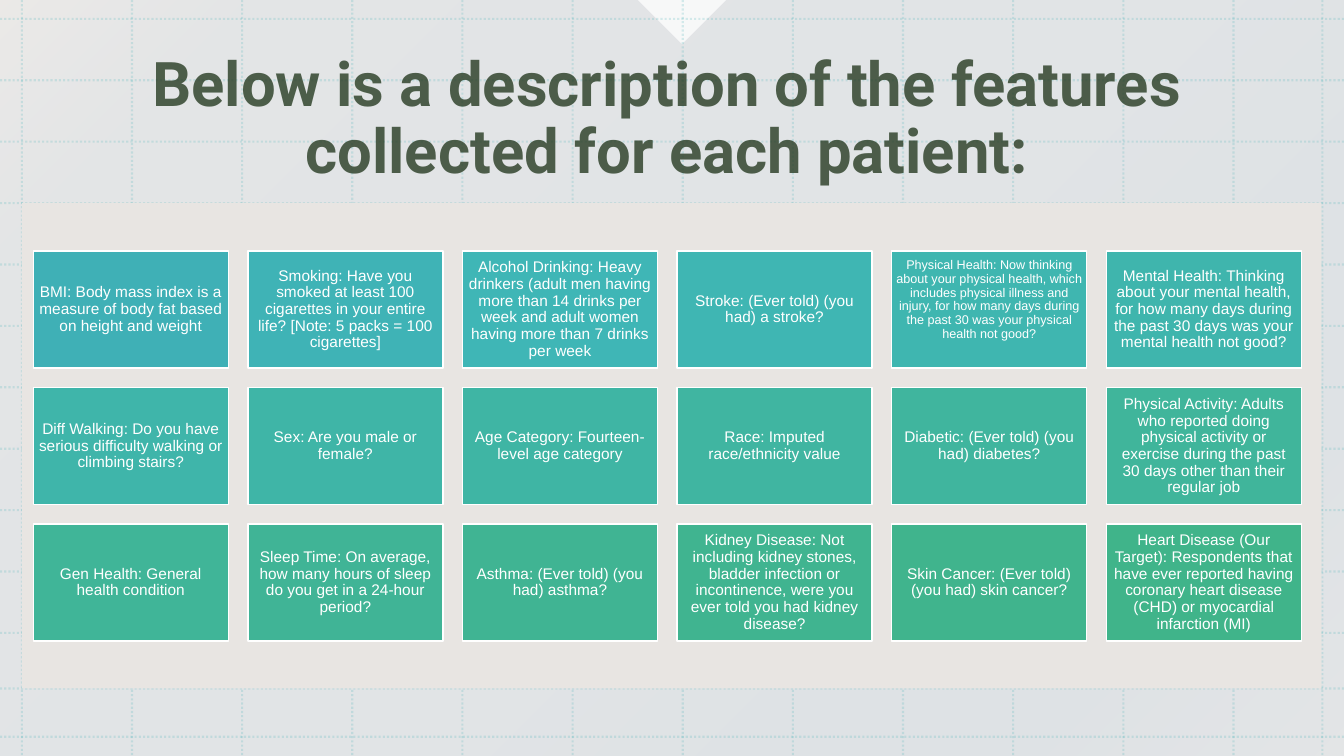
"""Build a slide that describes the features collected for each patient."""
import colorsys

from lxml import etree
from pptx import Presentation
from pptx.dml.color import RGBColor
from pptx.enum import dml, shapes, text
from pptx.oxml import ns
from pptx.util import Pt

TEAL = RGBColor(0x3F, 0xB0, 0xB6)
GREEN = RGBColor(0x40, 0xB4, 0x8A)
DARK_GREEN = RGBColor(0x27, 0x3B, 0x22)
SAND = RGBColor(0xE8, 0xE5, 0xE2)
WHITE = RGBColor(0xFF, 0xFF, 0xFF)
SKY_STOPS = [
    (0, RGBColor(0xF7, 0xFB, 0xFE)),
    (13, RGBColor(0xD0, 0xE5, 0xF8)),
    (31, RGBColor(0xCC, 0xE3, 0xF7)),
    (39, RGBColor(0xC8, 0xE1, 0xF6)),
    (57, RGBColor(0xC6, 0xE0, 0xF6)),
    (74, RGBColor(0xB8, 0xD8, 0xF4)),
    (83, RGBColor(0xB8, 0xD8, 0xF4)),
    (100, RGBColor(0xD0, 0xE5, 0xF8)),
]
WIDTH, HEIGHT = 960, 540
COLUMNS = 6
LONG_FEATURE = "Physical Health"
FEATURES = [
    "BMI: Body mass index is a measure of body fat based on height and weight",
    "Smoking: Have you smoked at least 100 cigarettes in your entire life? "
    "[Note: 5 packs = 100 cigarettes]",
    "Alcohol Drinking: Heavy drinkers (adult men having more than 14 drinks per week "
    "and adult women having more than 7 drinks per week",
    "Stroke: (Ever told) (you had) a stroke?",
    "Physical Health: Now thinking about your physical health, which includes physical "
    "illness and injury, for how many days during the past 30 was your physical health "
    "not good?",
    "Mental Health: Thinking about your mental health, for how many days during the "
    "past 30 days was your mental health not good?",
    "Diff Walking: Do you have serious difficulty walking or climbing stairs?",
    "Sex: Are you male or female?",
    "Age Category: Fourteen-level age category",
    "Race: Imputed race/ethnicity value",
    "Diabetic: (Ever told) (you had) diabetes?",
    "Physical Activity: Adults who reported doing physical activity or exercise during "
    "the past 30 days other than their regular job",
    "Gen Health: General health condition",
    "Sleep Time: On average, how many hours of sleep do you get in a 24-hour period?",
    "Asthma: (Ever told) (you had) asthma?",
    "Kidney Disease: Not including kidney stones, bladder infection or incontinence, "
    "were you ever told you had kidney disease?",
    "Skin Cancer: (Ever told) (you had) skin cancer?",
    "Heart Disease (Our Target): Respondents that have ever reported having coronary "
    "heart disease (CHD) or myocardial infarction (MI)",
]


def set_opacity(element, percent):
    for color in element.iter(ns.qn("a:srgbClr")):
        etree.SubElement(color, ns.qn("a:alpha"), val=str(percent * 1000))


def blend_hue(start, end, share):
    first, last = (colorsys.rgb_to_hls(*(part / 255 for part in color)) for color in (start, end))
    mixed = (a + (b - a) * share for a, b in zip(first, last))
    return RGBColor(*(round(part * 255) for part in colorsys.hls_to_rgb(*mixed)))


class SlideBuilder:
    def __init__(self, slide, body_font="Arial", title_font="Roboto"):
        self.slide = slide
        self.body_font = body_font
        self.title_font = title_font

    def box(self, left, top, width, height, color=None, opacity=100,
            kind=shapes.MSO_SHAPE.RECTANGLE):
        shape = self.slide.shapes.add_shape(kind, Pt(left), Pt(top), Pt(width), Pt(height))
        shape.shadow.inherit = False
        shape.line.fill.background()
        if color is not None:
            shape.fill.solid()
            shape.fill.fore_color.rgb = color
            if opacity < 100:
                set_opacity(shape._element.spPr, opacity)
        return shape

    def gradient_box(self, left, top, width, height, stops):
        shape = self.box(left, top, width, height)
        shape.fill.gradient()
        shape.fill.gradient_angle = 315
        stop_list = shape._element.spPr.find(".//" + ns.qn("a:gsLst"))
        for stop in list(stop_list):
            stop_list.remove(stop)
        for position, color in stops:
            stop = etree.SubElement(stop_list, ns.qn("a:gs"), pos=str(position * 1000))
            etree.SubElement(stop, ns.qn("a:srgbClr"), val=str(color))

    def dotted_line(self, start_x, start_y, end_x, end_y):
        connector = self.slide.shapes.add_connector(
            shapes.MSO_CONNECTOR.STRAIGHT, Pt(start_x), Pt(start_y), Pt(end_x), Pt(end_y))
        connector.line.color.rgb = TEAL
        connector.line.width = Pt(1.5)
        connector.line.dash_style = dml.MSO_LINE.ROUND_DOT
        properties = connector._element.spPr
        set_opacity(properties, 20)
        etree.SubElement(properties, ns.qn("a:effectLst"))

    def set_text(self, shape, words, font, size, color, bold=False):
        frame = shape.text_frame
        frame.text = words
        frame.word_wrap = True
        frame.auto_size = text.MSO_AUTO_SIZE.NONE
        frame.vertical_anchor = text.MSO_ANCHOR.MIDDLE
        paragraph = frame.paragraphs[0]
        paragraph.alignment = text.PP_ALIGN.CENTER
        paragraph.line_spacing = 0.9
        paragraph.font.name = font
        paragraph.font.size = Pt(size)
        paragraph.font.bold = bold
        paragraph.font.color.rgb = color

    def title(self, words, left, top, width, height):
        title = self.slide.shapes.title
        title._element.getparent().append(title._element)
        title.left, title.top, title.width, title.height = map(Pt, (left, top, width, height))
        self.set_text(title, words, self.title_font, 44, DARK_GREEN, bold=True)
        set_opacity(title._element.txBody, 80)

    def tile(self, words, left, top, width, height, color, size=11, inset=3.6, bottom=3.6):
        shape = self.box(left, top, width, height, color)
        shape.line.color.rgb = WHITE
        shape.line.width = Pt(1)
        self.set_text(shape, words, self.body_font, size, WHITE)
        frame = shape.text_frame
        frame.margin_left = frame.margin_right = frame.margin_top = Pt(inset)
        frame.margin_bottom = Pt(bottom)


def main():
    presentation = Presentation()
    presentation.slide_width, presentation.slide_height = Pt(WIDTH), Pt(HEIGHT)
    builder = SlideBuilder(presentation.slides.add_slide(presentation.slide_layouts[5]))

    builder.gradient_box(0, 0, WIDTH, HEIGHT, SKY_STOPS)
    builder.box(0, 0, WIDTH, HEIGHT, SAND, opacity=80)
    notch = builder.box(464.9, -22.3, 44.6, 44.6, WHITE, opacity=75,
                        kind=shapes.MSO_SHAPE.RIGHT_TRIANGLE)
    notch.rotation = 315

    for x in [15.6 + 78.68 * column for column in range(12)] + [944.6]:
        builder.dotted_line(x, 0, x, HEIGHT)
    for y in [13.5 + 43.86 * row for row in range(11)] + [491.8, 526.3]:
        builder.dotted_line(0, y, WIDTH, y)

    builder.box(15.6, 144.9, 928.4, 346.9, SAND)
    builder.title("Below is a description of the features collected for each patient:",
                  23.8, 26.6, 905.8, 118.1)

    for index, feature in enumerate(FEATURES):
        row, column = divmod(index, COLUMNS)
        color = blend_hue(TEAL, GREEN, index / (len(FEATURES) - 1))
        fit = {"size": 9, "inset": 2.9, "bottom": 16.5} if feature.startswith(LONG_FEATURE) else {}
        builder.tile(feature, 23.8 + 153.3 * column, 179.3 + 97.5 * row, 139.3, 83.6, color, **fit)

    presentation.save("out.pptx")


if __name__ == "__main__":
    main()
